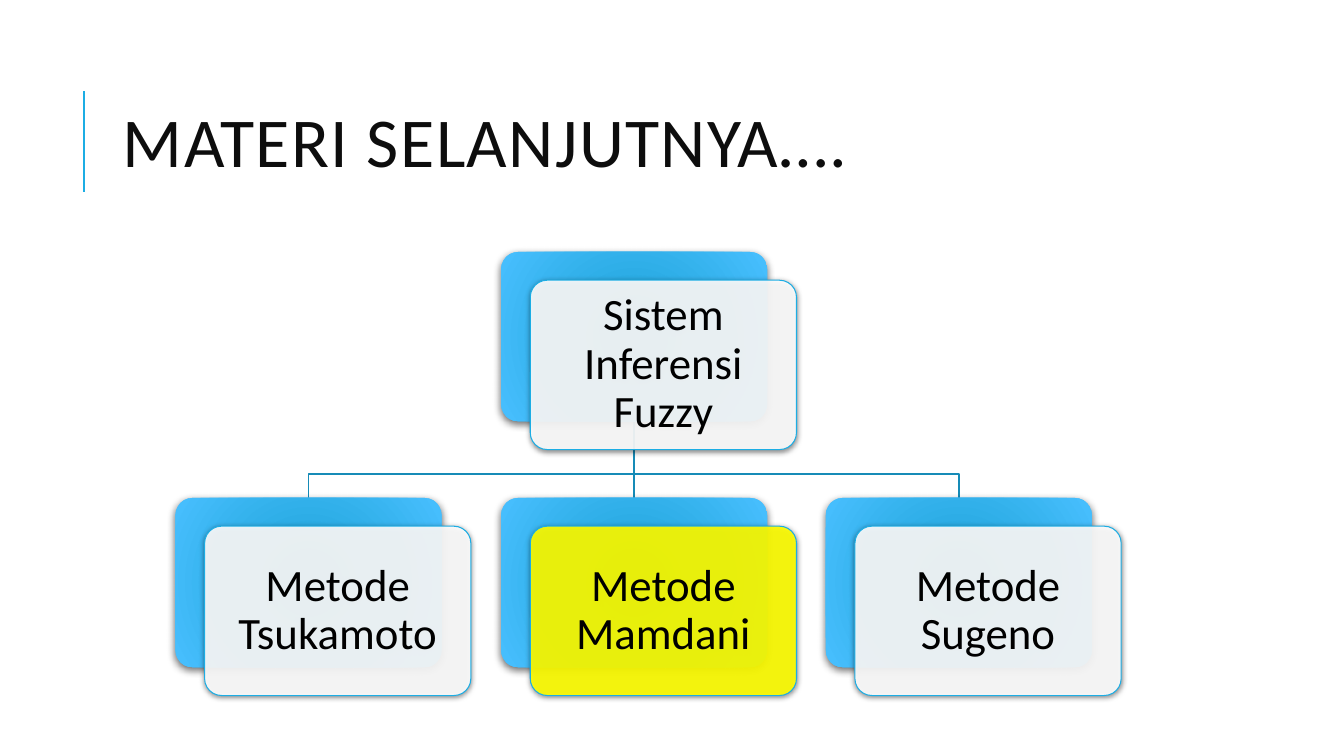
from lxml import etree
from pptx import Presentation
from pptx.dml.color import RGBColor
from pptx.enum.shapes import MSO_CONNECTOR, MSO_SHAPE
from pptx.enum.text import MSO_ANCHOR, PP_ALIGN
from pptx.oxml import parse_xml
from pptx.oxml.ns import qn
from pptx.util import Inches, Pt

ROUNDED = MSO_SHAPE.ROUNDED_RECTANGLE
STRAIGHT = MSO_CONNECTOR.STRAIGHT
MIDDLE = MSO_ANCHOR.MIDDLE
CENTER = PP_ALIGN.CENTER
NAMESPACE = 'xmlns:a="http://schemas.openxmlformats.org/drawingml/2006/main"'
FONT = "Calibri"

# Chart grid, in inches
COLUMNS = [1.74, 4.97, 8.19]
ROWS = [2.5, 4.94]
BOX_WIDTH, BOX_HEIGHT = 2.64, 1.68
CARD_SHIFT_X, CARD_SHIFT_Y = 0.29, 0.28
BRANCH_Y = 4.7


def color(hex_string):
    return RGBColor.from_string(hex_string)


def add_box(left, top, opacity, blur, distance):
    """Add a rounded box with a downward shadow of the given opacity (%) and points."""
    shape = slide.shapes.add_shape(
        ROUNDED, Inches(left), Inches(top), Inches(BOX_WIDTH), Inches(BOX_HEIGHT))
    shape.adjustments[0] = 0.1
    shape.shadow.inherit = False
    effects = shape._element.spPr.find(qn("a:effectLst"))
    effects.append(parse_xml(
        f'<a:outerShdw {NAMESPACE} blurRad="{Pt(blur)}" dist="{Pt(distance)}" dir="5400000" '
        f'rotWithShape="0"><a:srgbClr val="000000"><a:alpha val="{opacity * 1000}"/>'
        '</a:srgbClr></a:outerShdw>'))
    return shape


presentation = Presentation()
presentation.slide_width = Inches(13.33)
presentation.slide_height = Inches(7.5)
slide = presentation.slides.add_slide(presentation.slide_layouts[6])

# Title with its accent line
accent = slide.shapes.add_connector(
    STRAIGHT, Inches(0.83), Inches(1.9), Inches(0.83), Inches(0.9))
accent.line.color.rgb = color("1CADE4")
accent.line.width = Pt(1.5)
etree.SubElement(accent._element.spPr, qn("a:effectLst"))

title = slide.shapes.add_textbox(Inches(1.12), Inches(0.64), Inches(10.63), Inches(1.64))
title.text_frame.word_wrap = True
title.text_frame.vertical_anchor = MIDDLE
paragraph = title.text_frame.paragraphs[0]
paragraph.line_spacing = 0.8
run = paragraph.add_run()
run.text = "MATERI SELANJUTNYA…."
run.font.name = FONT
run.font.size = Pt(50)
run.font.color.rgb = color("0D0D0D")
run._r.get_or_add_rPr().set("spc", "100")

# Branches from the root to the outer boxes
centers = [left + BOX_WIDTH / 2 for left in COLUMNS]
root_bottom = ROWS[0] + BOX_HEIGHT
for child_center in (centers[2], centers[0]):
    builder = slide.shapes.build_freeform(Inches(centers[1]), Inches(root_bottom))
    builder.add_line_segments(
        [(Inches(x), Inches(y)) for x, y in (
            (centers[1], BRANCH_Y), (child_center, BRANCH_Y), (child_center, ROWS[1]))],
        close=False)
    branch = builder.convert_to_shape()
    branch.shadow.inherit = False
    branch.fill.background()
    branch.line.color.rgb = color("168BB7")
    branch.line.width = Pt(1.25)

trunk = slide.shapes.add_connector(
    STRAIGHT, Inches(centers[1]), Inches(root_bottom), Inches(centers[1]), Inches(ROWS[1]))
trunk.line.color.rgb = color("168BB7")
trunk.line.width = Pt(1.25)
etree.SubElement(trunk._element.spPr, qn("a:effectLst"))

# Boxes: a blue back and a translucent text card shifted over it
nodes = [
    ("Sistem Inferensi Fuzzy", 1, 0, "FFFFFF"),
    ("Metode Tsukamoto", 0, 1, "FFFFFF"),
    ("Metode Mamdani", 1, 1, "FFFF00"),
    ("Metode Sugeno", 2, 1, "FFFFFF"),
]
backs = {}
for label, column, row, card_color in nodes:
    left, top = COLUMNS[column], ROWS[row]

    back = add_box(left, top, 60, 6, 2)
    back.line.fill.background()
    back.fill.gradient()
    for stop, stop_color in zip(back.fill.gradient_stops, ("1AA1D4", "48BFFF")):
        stop.color.rgb = color(stop_color)
    gradient = back._element.spPr.find(qn("a:gradFill"))
    gradient.replace(gradient.find(qn("a:lin")), parse_xml(
        f'<a:path {NAMESPACE} path="circle">'
        '<a:fillToRect l="100000" t="100000" r="100000" b="100000"/></a:path>'))
    backs[column, row] = back

    card = add_box(left + CARD_SHIFT_X, top + CARD_SHIFT_Y, 50, 4, 1)
    card.fill.solid()
    card.fill.fore_color.rgb = color(card_color)
    solid_color = card._element.spPr.find(qn("a:solidFill"))[0]
    etree.SubElement(solid_color, qn("a:alpha"), val="90000")
    card.line.color.rgb = color("1CADE4")
    card.line.width = Pt(0.75)

    frame = card.text_frame
    frame.word_wrap = True
    frame.vertical_anchor = MIDDLE
    frame.margin_left = frame.margin_right = Inches(0.15)
    frame.margin_top = frame.margin_bottom = Inches(0.15)
    paragraph = frame.paragraphs[0]
    paragraph.alignment = CENTER
    paragraph.line_spacing = 0.9
    run = paragraph.add_run()
    run.text = label
    run.font.name = FONT
    run.font.size = Pt(32)
    run.font.color.rgb = color("000000")

trunk.begin_connect(backs[1, 0], 2)
trunk.end_connect(backs[1, 1], 0)

presentation.save("out.pptx")
